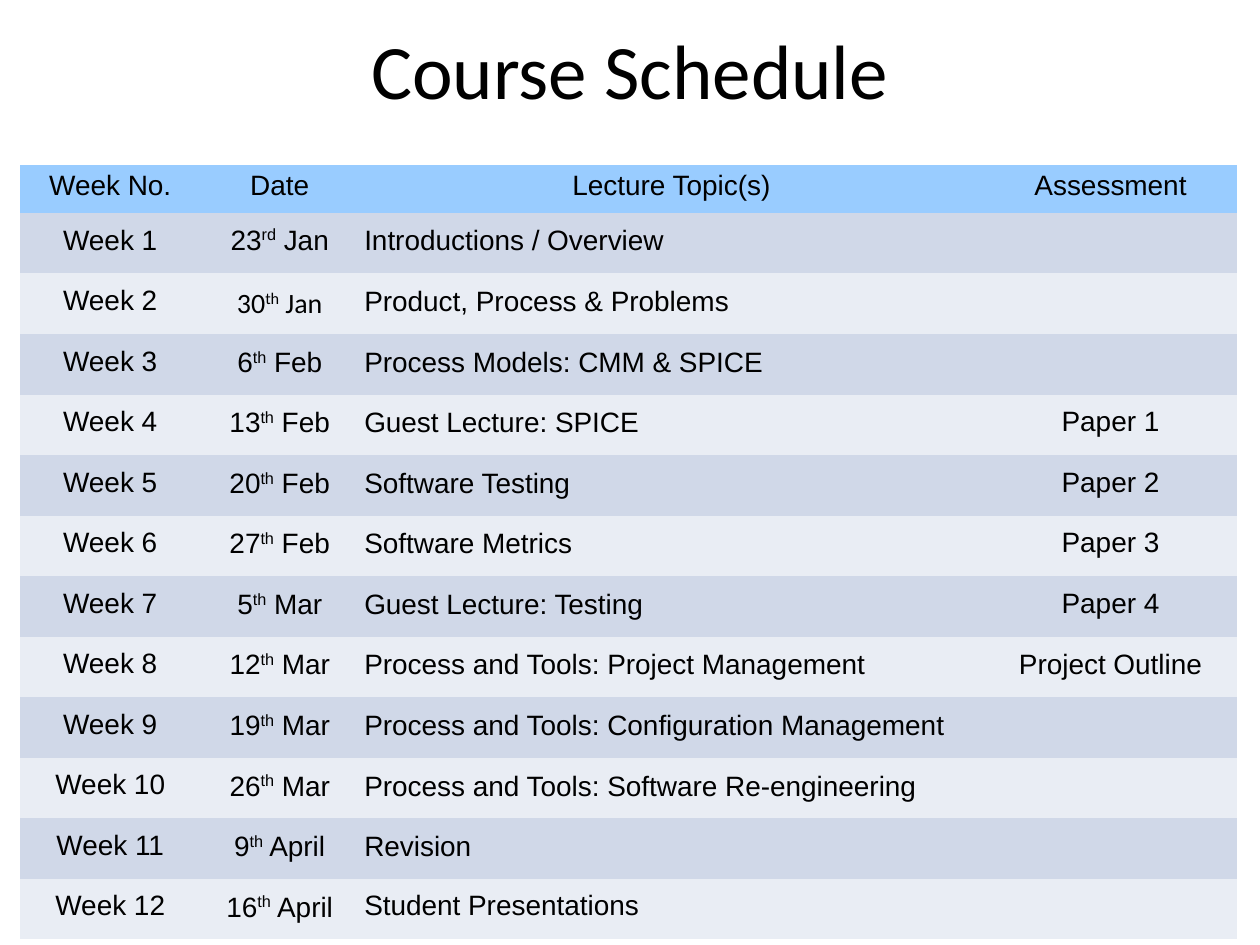
from pptx import Presentation
from pptx.dml.color import RGBColor
from pptx.enum.text import MSO_ANCHOR, PP_ALIGN
from pptx.util import Pt

TITLE = "Course Schedule"
HEADERS = ("Week No.", "Date", "Lecture Topic(s)", "Assessment")
# day, ordinal suffix, month, topic, assessment
WEEKS = [
    ("23", "rd", "Jan", "Introductions / Overview", ""),
    ("30", "th", "Jan", "Product, Process & Problems", ""),
    ("6", "th", "Feb", "Process Models: CMM & SPICE", ""),
    ("13", "th", "Feb", "Guest Lecture: SPICE", "Paper 1"),
    ("20", "th", "Feb", "Software Testing", "Paper 2"),
    ("27", "th", "Feb", "Software Metrics", "Paper 3"),
    ("5", "th", "Mar", "Guest Lecture: Testing", "Paper 4"),
    ("12", "th", "Mar", "Process and Tools: Project Management", "Project Outline"),
    ("19", "th", "Mar", "Process and Tools: Configuration Management", ""),
    ("26", "th", "Mar", "Process and Tools: Software Re-engineering", ""),
    ("9", "th", "April", "Revision", ""),
    ("16", "th", "April", "Student Presentations", ""),
]

BLACK = RGBColor(0x00, 0x00, 0x00)
HEADER_BLUE = RGBColor(0x99, 0xCC, 0xFF)
BANDS = (RGBColor(0xD0, 0xD8, 0xE8), RGBColor(0xE9, 0xED, 0xF4))

LEFT, TOP = 11.5, 94.3
COL_WIDTHS = (103, 90.7, 357.1, 144.7)
HEADER_HEIGHT, WEEK_HEIGHT = 27.4, 34.6
TIGHT, MEDIUM, LOOSE = 0.75, 0.87, 0.96  # line spacings
PLAIN_STYLE = "{2D5ABB26-0587-4C30-8999-92F81FD0307C}"  # no style, no grid


def format_paragraph(p, size, font="Arial", align=PP_ALIGN.CENTER, spacing=None):
    p.alignment = align
    p.line_spacing = spacing
    p.font.name = font
    p.font.size = Pt(size)
    p.font.color.rgb = BLACK


def fill_cell(cell, color, runs, spacing=TIGHT, **style):
    """Write the runs in a cell; every second run is a superscript."""
    cell.fill.solid()
    cell.fill.fore_color.rgb = color
    cell.vertical_anchor = MSO_ANCHOR.MIDDLE
    cell.margin_left = cell.margin_right = Pt(3)
    cell.margin_top = cell.margin_bottom = Pt(3.6)
    p = cell.text_frame.paragraphs[0]
    format_paragraph(p, 16, spacing=spacing, **style)
    for i, text in enumerate(runs):
        r = p.add_run()
        r.text = text
        if i % 2:
            r._r.get_or_add_rPr().set("baseline", "33000")


def add_schedule(slide):
    n_rows = len(WEEKS) + 1
    height = HEADER_HEIGHT + WEEK_HEIGHT * len(WEEKS)
    frame = slide.shapes.add_table(n_rows, len(HEADERS), Pt(LEFT), Pt(TOP),
                                   Pt(sum(COL_WIDTHS)), Pt(height))
    table = frame.table
    table.first_row = table.horz_banding = False
    table._tbl.tblPr[0].text = PLAIN_STYLE
    for column, width in zip(table.columns, COL_WIDTHS):
        column.width = Pt(width)
    for i, row in enumerate(table.rows):
        row.height = Pt(WEEK_HEIGHT if i else HEADER_HEIGHT)

    for col, header in enumerate(HEADERS):
        fill_cell(table.cell(0, col), HEADER_BLUE, [header])

    for week, (day, suffix, month, topic, assessment) in enumerate(WEEKS, 1):
        color = BANDS[(week - 1) % 2]
        number, date, lecture, task = table.rows[week].cells
        fill_cell(number, color, [f"Week {week}"])
        date_style = {"spacing": TIGHT if week == 1 else MEDIUM}
        if week == 2:
            date_style = {"spacing": LOOSE, "font": "Calibri"}
        fill_cell(date, color, [day, suffix, f" {month}"], **date_style)
        fill_cell(lecture, color, [topic], align=PP_ALIGN.LEFT,
                  spacing=TIGHT if week in (1, len(WEEKS)) else MEDIUM)
        fill_cell(task, color, [assessment] if assessment else [],
                  spacing=MEDIUM if week == 8 else TIGHT)


def main():
    prs = Presentation()
    prs.slide_width, prs.slide_height = Pt(720), Pt(540)
    slide = prs.slides.add_slide(prs.slide_layouts[5])

    title = slide.shapes.title
    title.left, title.top, title.width, title.height = Pt(30), Pt(8), Pt(660), Pt(62)
    tf = title.text_frame
    tf.text = TITLE
    tf.vertical_anchor = MSO_ANCHOR.MIDDLE
    format_paragraph(tf.paragraphs[0], 44, font="Calibri")

    add_schedule(slide)
    prs.save("out.pptx")


if __name__ == "__main__":
    main()
